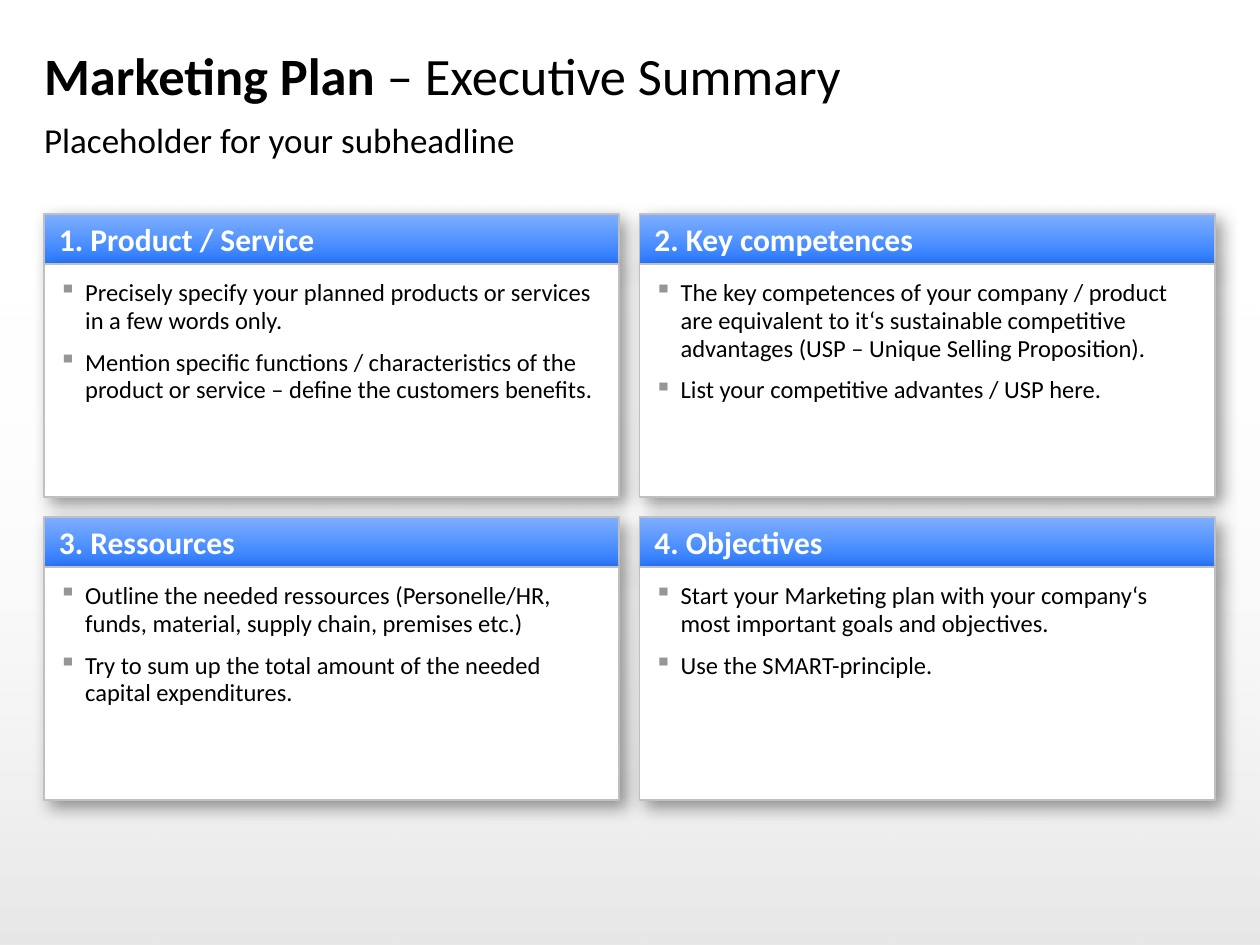
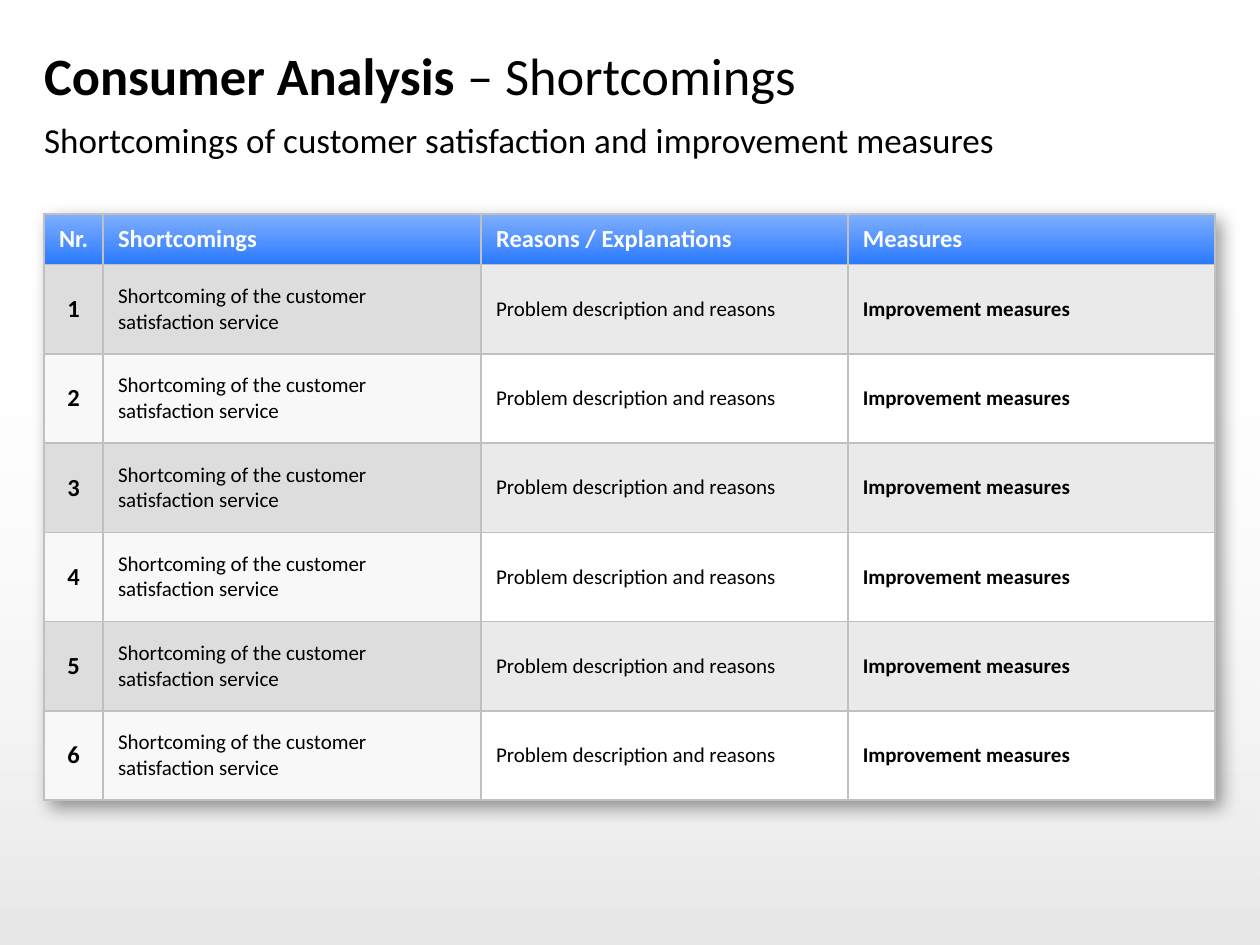
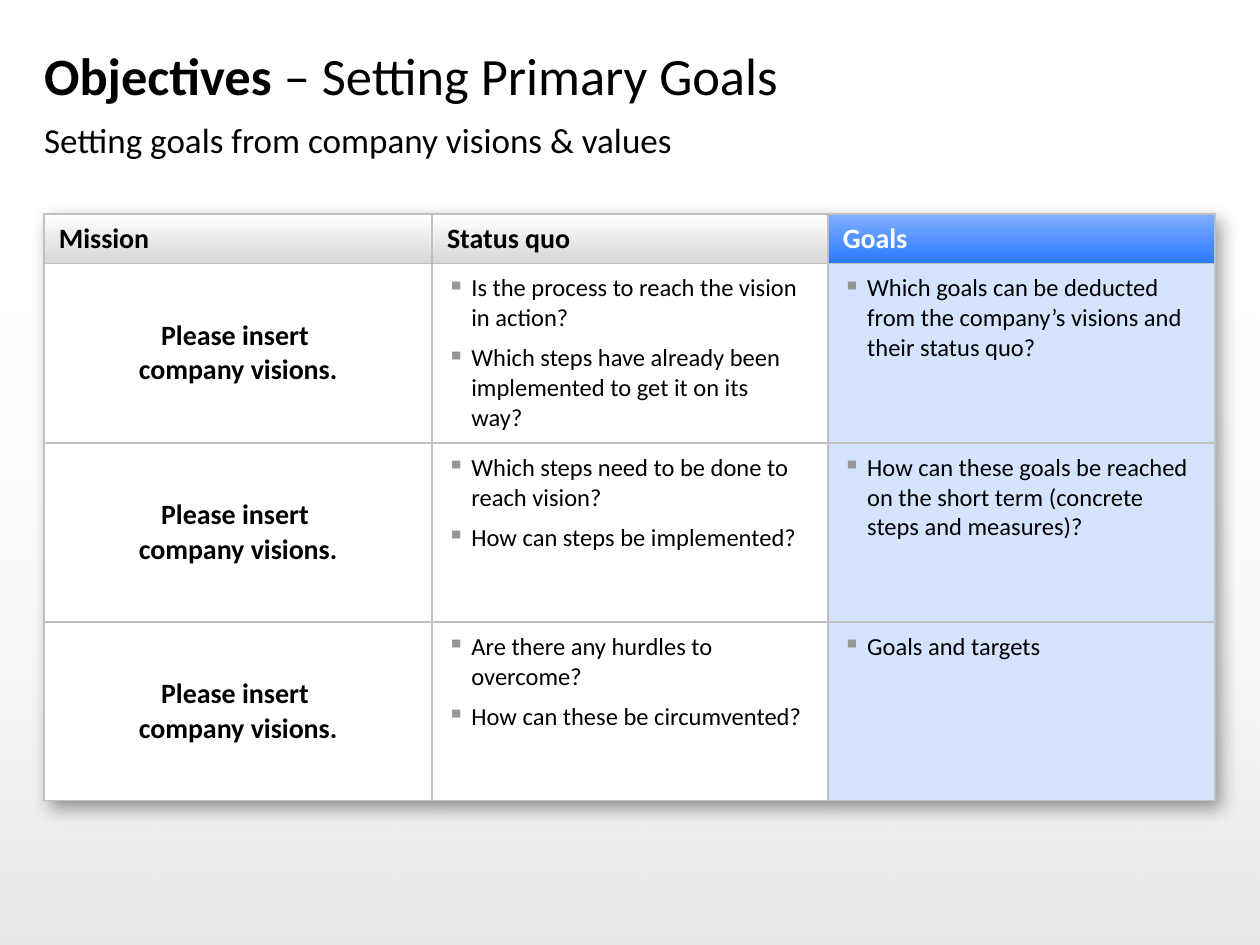
from lxml.etree import SubElement
from pptx import Presentation
from pptx.dml.color import RGBColor
from pptx.enum.shapes import MSO_SHAPE
from pptx.enum.text import MSO_ANCHOR, MSO_AUTO_SIZE, PP_ALIGN
from pptx.oxml import parse_xml
from pptx.oxml.ns import nsdecls, qn
from pptx.util import Pt

FONT = "Calibri"
COLOURS = {
    "black": "000000",
    "white": "FFFFFF",
    "light blue": "7FAFFF",
    "blue": "2A79FF",
    "pale blue": "D4E4FF",
    "border": "C0C0C0",
    "bullet": "969696",
    "silver": "D7D7D7",
    "dark stripe": "DDDDDD",
    "stripe": "EAEAEA",
    "off white": "F8F8F8",
}
BLUE_FADE = ("light blue", "blue")
GREY_FADE = ("white", "silver")
LEFT, TOP, WIDTH, HEIGHT = 25.2, 122.4, 669, 334.8
GAP = 11.5
HEADER_HEIGHT = 28.4
HEADER_MARGINS = (8.5, 0, 8.5, 0)
CELL_MARGINS = (8.5, 5.7, 8.5, 5.7)
LIST_MARGINS = (8.5, 5.7, 14.2, 5.7)
CARD_MARGINS = (8.5, 8.5, 14.2, 5.7)


def rgb(name):
    return RGBColor.from_string(COLOURS[name])


class Plan:
    """Holds the deck's style and the current slide."""

    def __init__(self):
        self.deck = Presentation()
        self.deck.slide_width, self.deck.slide_height = Pt(720), Pt(540)
        self.layout = self.deck.slide_layouts[1]
        self.page = None

    def add_page(self, topic, rest, subtitle):
        self.page = self.deck.slides.add_slide(self.layout)
        title, body = self.page.placeholders
        para = self.heading(title, 18.7, 48.2, 30, MSO_ANCHOR.MIDDLE)
        for text, bold in ((topic, True), (rest, False)):
            span = para.add_run()
            span.text = text
            span.font.bold = bold
        para = self.heading(body, 67.7, 26.6, 20, MSO_ANCHOR.TOP)
        para.text = subtitle

    def heading(self, box, top, height, size, anchor):
        box.left, box.top, box.width, box.height = Pt(LEFT), Pt(top), Pt(WIDTH), Pt(height)
        frame = box.text_frame
        frame.auto_size = MSO_AUTO_SIZE.NONE
        self.arrange(frame, (0, 0, 0, 0), anchor)
        para = frame.paragraphs[0]
        properties = para._p.get_or_add_pPr()
        properties.set("marL", "0")
        properties.set("indent", "0")
        SubElement(properties, qn("a:buNone"))
        para.alignment = PP_ALIGN.LEFT
        para.space_before = Pt(0)
        self.style(para, size)
        return para

    def add_background(self):
        band = self.page.shapes.add_shape(MSO_SHAPE.RECTANGLE, 0, Pt(159.1), Pt(720), Pt(380.9))
        band.shadow.inherit = False
        band.line.fill.background()
        self.paint(band.fill, ("black", "white"), 90)
        for colour, alpha in zip(band.element.iter(qn("a:srgbClr")), (10000, 0)):
            SubElement(colour, qn("a:alpha")).set("val", str(alpha))
        self.deck.slide_master.shapes[0].element.addprevious(band.element)

    def paint(self, fill, colour, angle=270):
        if isinstance(colour, str):
            fill.solid()
            fill.fore_color.rgb = rgb(colour)
            return
        fill.gradient()
        fill.gradient_angle = angle
        for stop, name in zip(fill.gradient_stops, colour):
            stop.color.rgb = rgb(name)

    def cast_shadow(self, effects):
        effects.append(parse_xml(
            f'<a:outerShdw {nsdecls("a")} blurRad="{Pt(10)}" dist="{Pt(5)}" dir="2700000" '
            f'algn="tl" rotWithShape="0"><a:srgbClr val="{COLOURS["black"]}">'
            '<a:alpha val="40000"/></a:srgbClr></a:outerShdw>'))

    def arrange(self, target, margins, anchor):
        (target.margin_left, target.margin_top,
         target.margin_right, target.margin_bottom) = map(Pt, margins)
        target.vertical_anchor = anchor

    def style(self, para, size, colour="black", bold=None):
        para.font.name = FONT
        para.font.size = Pt(size)
        para.font.color.rgb = rgb(colour)
        para.font.bold = bold

    def set_text(self, frame, text, size, colour="black", bold=False, align=PP_ALIGN.LEFT):
        para = frame.paragraphs[0]
        para.text = text
        para.alignment = align
        self.style(para, size, colour, bold)

    def set_list(self, frame, items, indent, after, spacing=None):
        for number, item in enumerate(items):
            para = frame.add_paragraph() if number else frame.paragraphs[0]
            para.text = item
            properties = para._p.get_or_add_pPr()
            properties.set("marL", str(Pt(indent)))
            properties.set("indent", str(-Pt(indent)))
            bullet_colour = SubElement(properties, qn("a:buClr"))
            SubElement(bullet_colour, qn("a:srgbClr")).set("val", COLOURS["bullet"])
            SubElement(properties, qn("a:buChar")).set("char", "▪")
            para.alignment = PP_ALIGN.LEFT
            para.line_spacing = spacing
            para.space_after = Pt(after)
            self.style(para, 14)

    def add_panel(self, left, top, width, height, fill, margins, anchor):
        panel = self.page.shapes.add_shape(
            MSO_SHAPE.RECTANGLE, Pt(left), Pt(top), Pt(width), Pt(height))
        self.paint(panel.fill, fill)
        panel.line.color.rgb = rgb("border")
        panel.line.width = Pt(1)
        panel.shadow.inherit = False
        self.cast_shadow(panel.element.spPr.find(qn("a:effectLst")))
        panel.text_frame.word_wrap = True
        self.arrange(panel.text_frame, margins, anchor)
        return panel.text_frame

    def add_card(self, left, top, width, height, heading, items):
        header = self.add_panel(left, top, width, HEADER_HEIGHT, BLUE_FADE,
                                CELL_MARGINS, MSO_ANCHOR.MIDDLE)
        self.set_text(header, heading, 18, "white", True)
        body = self.add_panel(left, top + HEADER_HEIGHT, width, height - HEADER_HEIGHT,
                              "white", CARD_MARGINS, MSO_ANCHOR.TOP)
        self.set_list(body, items, 15, 8, 0.95)

    def add_table(self, widths, heights):
        table = self.page.shapes.add_table(
            len(heights), len(widths), Pt(LEFT), Pt(TOP), Pt(WIDTH), Pt(HEIGHT)).table
        table.first_row = table.horz_banding = False
        for column, width in zip(table.columns, widths):
            column.width = Pt(width)
        for row, height in zip(table.rows, heights):
            row.height = Pt(height)
        effects = parse_xml(f'<a:effectLst {nsdecls("a")}/>')
        self.cast_shadow(effects)
        table._tbl.tblPr.insert(0, effects)
        return table

    def format_cell(self, cell, fill, margins, anchor=MSO_ANCHOR.MIDDLE):
        self.paint(cell.fill, fill)
        self.arrange(cell, margins, anchor)
        for position, side in enumerate("LRTB"):
            cell._tc.tcPr.insert(position, parse_xml(
                f'<a:ln{side} {nsdecls("a")} w="{Pt(1)}"><a:solidFill>'
                f'<a:srgbClr val="{COLOURS["border"]}"/></a:solidFill></a:ln{side}>'))
        return cell.text_frame


def add_summary(plan):
    plan.add_page("Marketing Plan", " – Executive Summary", "Placeholder for your subheadline")
    plan.add_background()
    cards = (
        ("1. Product / Service", (
            "Precisely specify your planned products or services in a few words only.",
            "Mention specific functions / characteristics of the product or service – "
            "define the customers benefits.")),
        ("2. Key competences", (
            "The key competences of your company / product are equivalent to it‘s sustainable "
            "competitive advantages (USP – Unique Selling Proposition).",
            "List your competitive advantes / USP here.")),
        ("3. Ressources", (
            "Outline the needed ressources (Personelle/HR, funds, material, supply chain, "
            "premises etc.)",
            "Try to sum up the total amount of the needed capital expenditures.")),
        ("4. Objectives", (
            "Start your Marketing plan with your company‘s most important goals and objectives.",
            "Use the SMART-principle.")),
    )
    width, height = (WIDTH - GAP) / 2, (HEIGHT - GAP) / 2
    for number, (heading, items) in enumerate(cards):
        row, column = divmod(number, 2)
        plan.add_card(LEFT + column * (width + GAP), TOP + row * (height + GAP),
                      width, height, heading, items)


def add_shortcomings(plan):
    plan.add_page("Consumer Analysis ", "– Shortcomings",
                  "Shortcomings of customer satisfaction and improvement measures")
    table = plan.add_table((33.8, 216, 209.6, 209.6), [28.8] + [51] * 6)
    headings = ("Nr.", "Shortcomings", "Reasons / Explanations", "Measures")
    for column, heading in enumerate(headings):
        margins = HEADER_MARGINS if column else (0, 0, 0, 0)
        frame = plan.format_cell(table.cell(0, column), BLUE_FADE, margins)
        plan.set_text(frame, heading, 14, "white", True,
                      PP_ALIGN.LEFT if column else PP_ALIGN.CENTER)
    for row in range(1, 7):
        first, second = ("dark stripe", "stripe") if row % 2 else ("off white", "white")
        frame = plan.format_cell(table.cell(row, 0), first, (0, 5.7, 0, 5.7))
        plan.set_text(frame, str(row), 14, bold=True, align=PP_ALIGN.CENTER)
        entries = (
            ("Shortcoming of the customer satisfaction service", first, False),
            ("Problem description and reasons", second, False),
            ("Improvement measures", second, True),
        )
        for column, (text, fill, bold) in enumerate(entries, 1):
            frame = plan.format_cell(table.cell(row, column), fill, CELL_MARGINS)
            plan.set_text(frame, text, 12, bold=bold)


def add_goals(plan):
    plan.add_page("Objectives ", "– Setting Primary Goals",
                  "Setting goals from company visions & values")
    table = plan.add_table((221.8, 226.2, 221), [28.2] + [102.2] * 3)
    headings = (("Mission", GREY_FADE, "black"), ("Status quo", GREY_FADE, "black"),
                ("Goals", BLUE_FADE, "white"))
    for column, (heading, fill, colour) in enumerate(headings):
        frame = plan.format_cell(table.cell(0, column), fill, HEADER_MARGINS)
        plan.set_text(frame, heading, 16, colour, True)
    steps = (
        (("Is the process to reach the vision in action?",
          "Which steps have already been implemented to get it on its way?"),
         ("Which goals can be deducted from the company’s visions and their status quo?",)),
        (("Which steps need to be done to reach vision?", "How can steps be implemented?"),
         ("How can these goals be reached on the short term (concrete steps and measures)?",)),
        (("Are there any hurdles to overcome?", "How can these be circumvented?"),
         ("Goals and targets",)),
    )
    for row, lists in enumerate(steps, 1):
        frame = plan.format_cell(table.cell(row, 0), "white", CELL_MARGINS)
        plan.set_text(frame, "Please insert \vcompany visions.", 16, bold=True,
                      align=PP_ALIGN.CENTER)
        for column, (items, fill) in enumerate(zip(lists, ("white", "pale blue")), 1):
            frame = plan.format_cell(table.cell(row, column), fill, LIST_MARGINS, MSO_ANCHOR.TOP)
            plan.set_list(frame, items, 13.9, 6)


def main():
    plan = Plan()
    add_summary(plan)
    add_shortcomings(plan)
    add_goals(plan)
    plan.deck.save("out.pptx")


if __name__ == "__main__":
    main()
